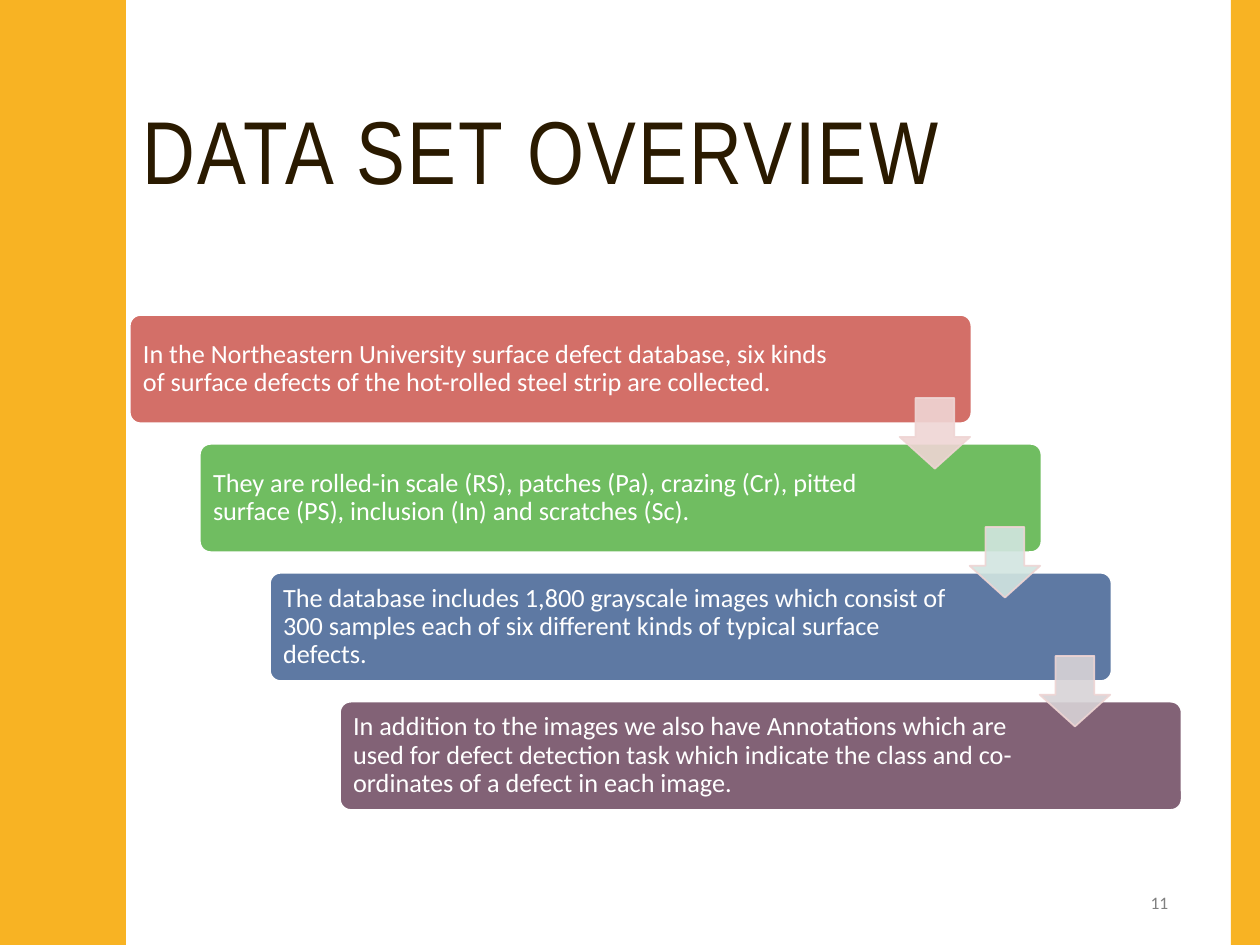
from dataclasses import dataclass

from pptx import Presentation
from pptx.dml.color import RGBColor
from pptx.enum.shapes import MSO_SHAPE as Shape
from pptx.enum.text import MSO_ANCHOR as Anchor, PP_ALIGN as Align
from pptx.oxml.ns import qn
from pptx.util import Inches, Pt
from lxml import etree


@dataclass(frozen=True)
class Theme:
    gold: str = "F8B323"
    title: str = "2A1A00"
    white: str = "FFFFFF"
    number: str = "808080"
    arrow_line: str = "EFD5D4"
    title_font: str = "Arial Narrow"
    body_font: str = "Calibri"
    title_size: int = 51
    body_size: int = 15
    number_size: int = 10


theme = Theme()


def paint(shape, fill, line=None, opacity=None):
    """Set flat fill and outline, optionally translucent."""
    shape.shadow.inherit = False
    shape.fill.solid()
    shape.fill.fore_color.rgb = RGBColor.from_string(fill)
    if line:
        shape.line.color.rgb = RGBColor.from_string(line)
        shape.line.width = Pt(1)
    else:
        shape.line.fill.background()
    if opacity:
        for color in shape._element.spPr.iter(qn("a:srgbClr")):
            etree.SubElement(color, qn("a:alpha"), val=str(opacity * 1000))


def write(shape, text, font, size, color, align=Align.LEFT, spacing=None):
    """Write one vertically centred paragraph and return it."""
    frame = shape.text_frame
    frame.word_wrap = True
    frame.vertical_anchor = Anchor.MIDDLE
    para = frame.paragraphs[0]
    para.text = text
    para.alignment = align
    para.line_spacing = spacing
    para.font.name = font
    para.font.size = Pt(size)
    para.font.color.rgb = RGBColor.from_string(color)
    return para


deck = Presentation()
deck.slide_width, deck.slide_height = Inches(10), Inches(7.5)
page = deck.slides.add_slide(deck.slide_layouts[5])
shapes = page.shapes

# Title
title = shapes.title
title.left, title.top = Inches(1.03), Inches(0.42)
title.width, title.height = Inches(8.35), Inches(1.63)
para = write(title, "DATA SET OVERVIEW", theme.title_font, theme.title_size,
             theme.title, spacing=0.9)
para.runs[0].font._element.set("spc", "150")

# Wavy left edge: half a wave, mirrored, repeated five times
period = 1.5
half_wave = [(0.58, 0), (0.58, 0.07), (0.59, 0.14), (0.6, 0.2), (0.61, 0.25),
             (0.62, 0.29), (0.64, 0.33), (0.65, 0.38), (0.67, 0.42),
             (0.68, 0.46), (0.7, 0.5), (0.71, 0.55), (0.72, 0.61),
             (0.72, 0.68), (0.73, 0.75)]
wave = half_wave + [(x, period - y) for x, y in reversed(half_wave[:-1])]
edge = [(x, y + period * turn) for turn in range(5) for x, y in wave]
builder = shapes.build_freeform(0, 0, scale=Inches(1))
builder.add_line_segments(edge + [(0, 7.5)], close=True)
paint(builder.convert_to_shape(), theme.gold)

# Right band
band = shapes.add_shape(Shape.RECTANGLE, Inches(9.77), 0, Inches(0.23), Inches(7.5))
paint(band, theme.gold)

# Slide number
number = shapes.add_textbox(Inches(7.06), Inches(6.97), Inches(2.31), Inches(0.38))
para = write(number, "11", theme.body_font, theme.number_size, theme.number, Align.RIGHT)
para.space_after = Pt(6)

# Staircase of statements: fill, right inset, text
steps = [
    ("D36F68", 1.05, "In the Northeastern University surface defect database, six kinds "
     "of surface defects of the hot-rolled steel strip are collected."),
    ("70BD61", 1.2, "They are rolled-in scale (RS), patches (Pa), crazing (Cr), pitted "
     "surface (PS), inclusion (In) and scratches (Sc)."),
    ("5E79A3", 1.2, "The database includes 1,800 grayscale images which consist of "
     "300 samples each of six different kinds of typical surface defects."),
    ("826276", 1.2, "In addition to the images we also have Annotations which are "
     "used for defect detection task which indicate the class and "
     "co-ordinates of a defect in each image."),
]
step_x, step_y = 0.556, 1.023
for index, (fill, right_inset, text) in enumerate(steps):
    box = shapes.add_shape(Shape.ROUNDED_RECTANGLE, Inches(1.03 + index * step_x),
                           Inches(2.5 + index * step_y), Inches(6.68), Inches(0.86))
    box.adjustments[0] = 0.1
    paint(box, fill, theme.white)
    frame = box.text_frame
    frame.margin_left, frame.margin_right = Inches(0.08), Inches(right_inset)
    frame.margin_top = frame.margin_bottom = Inches(0.06)
    write(box, text, theme.body_font, theme.body_size, theme.white, spacing=0.9)

# Arrows between the steps
for index, fill in enumerate(["EFD5D4", "D2E5E0", "D8D3D6"]):
    arrow = shapes.add_shape(Shape.DOWN_ARROW, Inches(7.14 + index * step_x),
                             Inches(3.16 + index * step_y), Inches(0.56), Inches(0.56))
    arrow.adjustments[0], arrow.adjustments[1] = 0.55, 0.45
    paint(arrow, fill, theme.arrow_line, opacity=90)

deck.save("out.pptx")
